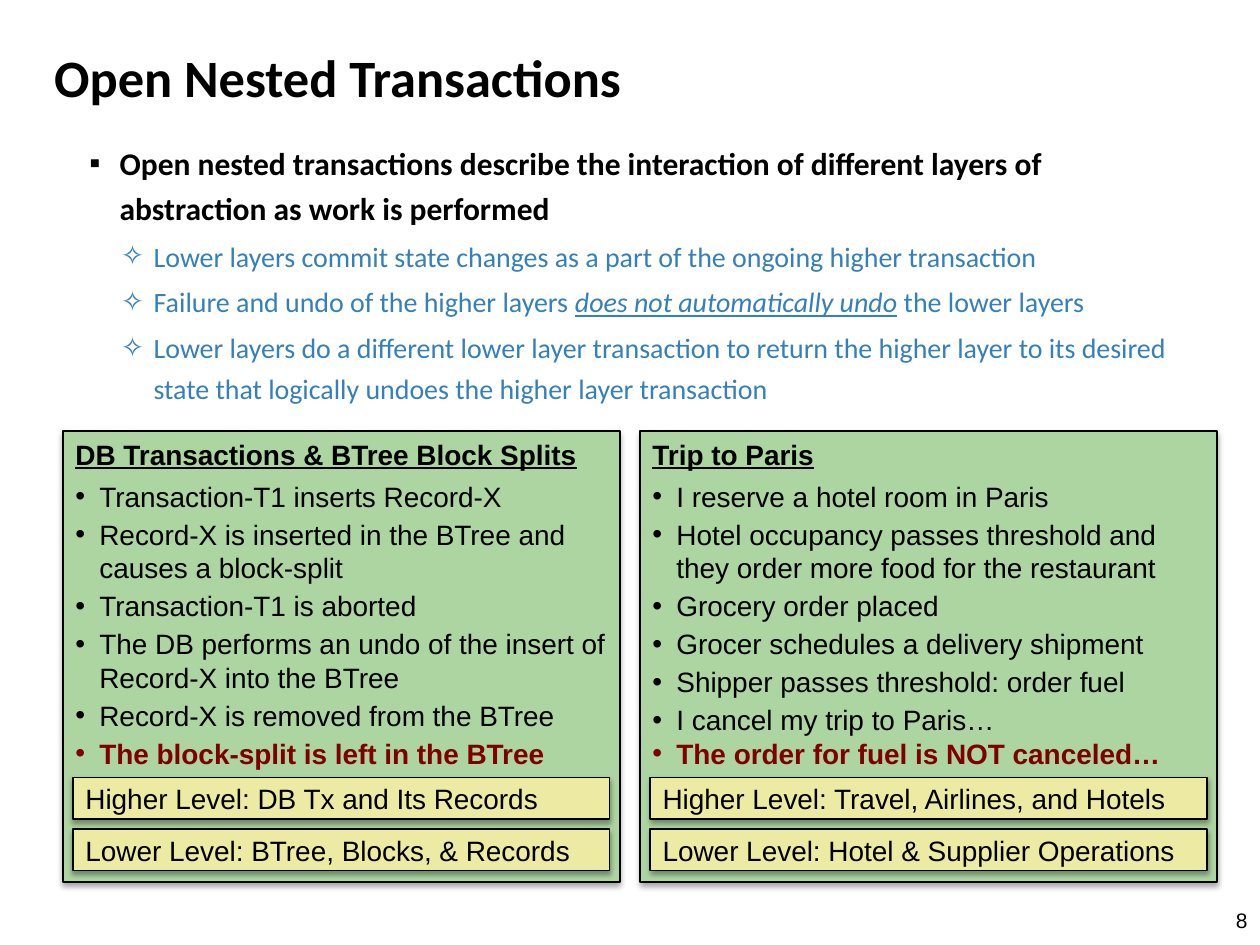
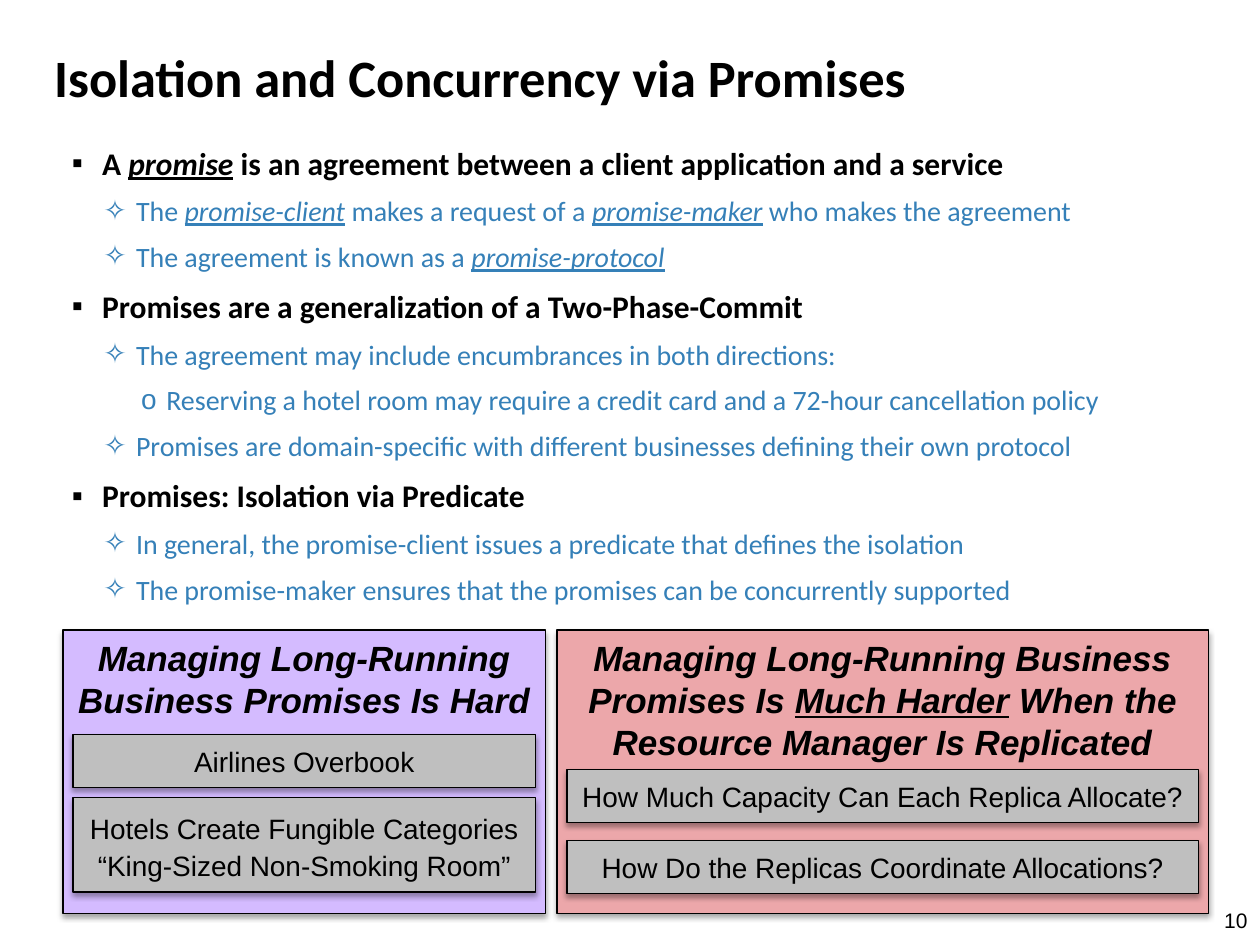
from lxml import etree
from pptx import Presentation
from pptx.dml.color import RGBColor
from pptx.enum.shapes import MSO_SHAPE
from pptx.enum.text import MSO_ANCHOR, MSO_AUTO_SIZE, PP_ALIGN
from pptx.oxml.ns import qn
from pptx.util import Inches, Pt

RECTANGLE = MSO_SHAPE.RECTANGLE
TOP, MIDDLE = MSO_ANCHOR.TOP, MSO_ANCHOR.MIDDLE
NO_AUTOFIT = MSO_AUTO_SIZE.NONE
LEFT, CENTER, RIGHT = PP_ALIGN.LEFT, PP_ALIGN.CENTER, PP_ALIGN.RIGHT

BLACK = RGBColor(0x00, 0x00, 0x00)
BLUE = RGBColor(0x35, 0x80, 0xB8)
MAROON = RGBColor(0x80, 0x00, 0x00)
GREEN = RGBColor(0xAD, 0xD5, 0xA1)
YELLOW = RGBColor(0xED, 0xEA, 0xA3)
LILAC = RGBColor(0xD4, 0xBB, 0xFF)
PINK = RGBColor(0xEC, 0xA7, 0xAA)
GRAY = RGBColor(0xBF, 0xBF, 0xBF)

TITLE_FONT = {"name": "Calibri", "size": Pt(30), "bold": True}
HEADING_FONT = {"name": "Calibri", "size": Pt(18), "bold": True}
DETAIL_FONT = {"name": "Calibri", "size": Pt(16), "bold": False}
PANEL_FONT = {"name": "Arial", "size": Pt(16), "bold": False}
PANEL_BOLD = {**PANEL_FONT, "bold": True}
PANEL_TITLE = {**PANEL_BOLD, "underline": True}
SLOGAN_FONT = {**PANEL_BOLD, "size": Pt(20), "italic": True}
NUMBER_FONT = {"name": "Arial", "size": Pt(12)}
EMPHASIS = {"italic": True, "underline": True}

BODY_LEVELS = [
    (HEADING_FONT, BLACK, ("▪", 0.24, 0.24)),
    (DETAIL_FONT, BLUE, ("✧", 0.51, 0.26)),
    (DETAIL_FONT, BLUE, ("o", 0.75, 0.2)),
]
PANEL_BULLET = ("•", 0.19, 0.19)
BAR_INSET = 0.08

SLIDES = [
    {
        "title": "Open Nested Transactions",
        "number": "8",
        "body_box": (0.56, 1, 8.94, 2.33),
        "body": [
            (0, "Open nested transactions describe the interaction of different layers of abstraction as work is performed"),
            (1, "Lower layers commit state changes as a part of the ongoing higher transaction"),
            (1, "Failure and undo of the higher layers _does not automatically undo_ the lower layers"),
            (1, "Lower layers do a different lower layer transaction to return the higher layer to its desired state that logically undoes the higher layer transaction"),
        ],
        "panels": [
            {
                "box": (0.5, 3.42, 4.42, 3.58),
                "fill": GREEN,
                "heading": "DB Transactions & BTree Block Splits",
                "steps": [
                    "Transaction-T1 inserts Record-X",
                    "Record-X is inserted in the BTree and causes a block-split",
                    "Transaction-T1 is aborted",
                    "The DB performs an undo of the insert of Record-X into the BTree",
                    "Record-X is removed from the BTree",
                ],
                "outcome": ("The block-split is left in the BTree", 2.5),
                "bars": [
                    (6.17, 0.33, ["Higher Level: DB Tx and Its Records"]),
                    (6.58, 0.33, ["Lower Level: BTree, Blocks, & Records"]),
                ],
            },
            {
                "box": (5.08, 3.42, 4.58, 3.58),
                "fill": GREEN,
                "heading": "Trip to Paris",
                "steps": [
                    "I reserve a hotel room in Paris",
                    "Hotel occupancy passes threshold and they order more food for the restaurant",
                    "Grocery order placed",
                    "Grocer schedules a delivery shipment",
                    "Shipper passes threshold: order fuel",
                    "I cancel my trip to Paris…",
                ],
                "outcome": ("The order for fuel is NOT canceled…", 0),
                "bars": [
                    (6.17, 0.33, ["Higher Level: Travel, Airlines, and Hotels"]),
                    (6.58, 0.33, ["Lower Level: Hotel & Supplier Operations"]),
                ],
            },
        ],
        "heading_font": PANEL_TITLE,
        "alignment": LEFT,
        "bar_fill": YELLOW,
    },
    {
        "title": "Isolation and Concurrency via Promises",
        "number": "10",
        "body_box": (0.42, 1, 9.19, 6.17),
        "body": [
            (0, "A _promise_ is an agreement between a client application and a service"),
            (1, "The _promise-client_ makes a request of a _promise-maker_ who makes the agreement"),
            (1, "The agreement is known as a _promise-protocol_"),
            (0, "Promises are a generalization of a Two-Phase-Commit"),
            (1, "The agreement may include encumbrances in both directions:"),
            (2, "Reserving a hotel room may require a credit card and a 72-hour cancellation policy"),
            (1, "Promises are domain-specific with different businesses defining their own protocol"),
            (0, "Promises: Isolation via Predicate"),
            (1, "In general, the promise-client issues a predicate that defines the isolation"),
            (1, "The promise-maker ensures that the promises can be concurrently supported"),
        ],
        "panels": [
            {
                "box": (0.5, 5, 3.83, 2.25),
                "fill": LILAC,
                "heading": "Managing Long-Running Business Promises Is Hard",
                "bars": [
                    (5.83, 0.42, ["Airlines Overbook"]),
                    (6.33, 0.75, ["Hotels Create Fungible Categories", "“King-Sized Non-Smoking Room”"]),
                ],
            },
            {
                "box": (4.42, 5, 5.17, 2.25),
                "fill": PINK,
                "heading": "Managing Long-Running Business Promises Is _Much Harder_ When the Resource Manager Is Replicated",
                "bars": [
                    (6.11, 0.42, ["How Much Capacity Can Each Replica Allocate?"]),
                    (6.67, 0.42, ["How Do the Replicas Coordinate Allocations?"]),
                ],
            },
        ],
        "heading_font": SLOGAN_FONT,
        "alignment": CENTER,
        "bar_fill": GRAY,
    },
]


def write_paragraph(frame, text, font, color=BLACK, bullet=None, **settings):
    paragraph = frame.add_paragraph() if frame.text else frame.paragraphs[0]
    for name, value in settings.items():
        setattr(paragraph, name, value)
    if bullet:
        character, margin, hanging = bullet
        properties = paragraph._p.get_or_add_pPr()
        properties.set("marL", str(Inches(margin)))
        properties.set("indent", str(-Inches(hanging)))
        etree.SubElement(properties, qn("a:buFont"), typeface="Arial")
        etree.SubElement(properties, qn("a:buChar"), char=character)
    for index, part in enumerate(text.split("_")):
        if part:
            run = paragraph.add_run()
            run.text = part
            run.font.color.rgb = color
            for name, value in {**font, **(EMPHASIS if index % 2 else {})}.items():
                setattr(run.font, name, value)


def add_box(group, box, fill, anchor):
    shape = group.shapes.add_shape(RECTANGLE, *map(Inches, box))
    shape.fill.solid()
    shape.fill.fore_color.rgb = fill
    shape.line.color.rgb = BLACK
    shape.line.width = Pt(0.75)
    shape.shadow.inherit = False
    effects = shape._element.spPr.find(qn("a:effectLst"))
    shadow = etree.SubElement(effects, qn("a:outerShdw"), blurRad=str(Pt(3.1)),
                              dist=str(Pt(1.8)), dir="5400000", rotWithShape="0")
    shadow_color = etree.SubElement(shadow, qn("a:srgbClr"), val=str(BLACK))
    etree.SubElement(shadow_color, qn("a:alpha"), val="35000")
    shape.text_frame.word_wrap = True
    shape.text_frame.vertical_anchor = anchor
    return shape.text_frame


presentation = Presentation()
presentation.slide_width = Inches(10)
presentation.slide_height = Inches(7.5)

for content in SLIDES:
    slide = presentation.slides.add_slide(presentation.slide_layouts[1])
    title, body = slide.placeholders
    number = slide.shapes.add_textbox(0, 0, 0, 0)
    placements = [
        (title, (0.33, 0.17, 9, 0.87), MIDDLE),
        (body, content["body_box"], TOP),
        (number, (9.42, 7.1, 0.58, 0.4), MIDDLE),
    ]
    for shape, box, anchor in placements:
        shape.left, shape.top, shape.width, shape.height = map(Inches, box)
        frame = shape.text_frame
        frame.word_wrap = True
        frame.auto_size = NO_AUTOFIT
        frame.vertical_anchor = anchor

    write_paragraph(title.text_frame, content["title"], TITLE_FONT, alignment=LEFT)
    write_paragraph(number.text_frame, content["number"], NUMBER_FONT, alignment=RIGHT)

    frame = body.text_frame
    frame.margin_left = frame.margin_right = Inches(0.15)
    frame.margin_top = frame.margin_bottom = Inches(0.08)
    for level, text in content["body"]:
        font, color, bullet = BODY_LEVELS[level]
        write_paragraph(frame, text, font, color, bullet, level=level, line_spacing=1.2)

    alignment = content["alignment"]
    for panel in content["panels"]:
        group = slide.shapes.add_group_shape()
        frame = add_box(group, panel["box"], panel["fill"], TOP)
        write_paragraph(frame, panel["heading"].replace("_", "_"), content["heading_font"],
                        alignment=alignment)
        for index, step in enumerate(panel.get("steps", [])):
            write_paragraph(frame, step, PANEL_FONT, bullet=PANEL_BULLET, alignment=LEFT,
                            space_before=Pt(2.5 if index else 5))
        if "outcome" in panel:
            outcome, gap = panel["outcome"]
            write_paragraph(frame, outcome, PANEL_BOLD, MAROON, PANEL_BULLET,
                            alignment=LEFT, space_before=Pt(gap))

        left, _, width, _ = panel["box"]
        for top, height, lines in panel["bars"]:
            bar = (left + BAR_INSET, top, width - 2 * BAR_INSET, height)
            frame = add_box(group, bar, content["bar_fill"], MIDDLE)
            for line in lines:
                write_paragraph(frame, line, PANEL_FONT, alignment=alignment,
                                line_spacing=1.1 if len(lines) > 1 else 1.0)

presentation.save("out.pptx")
